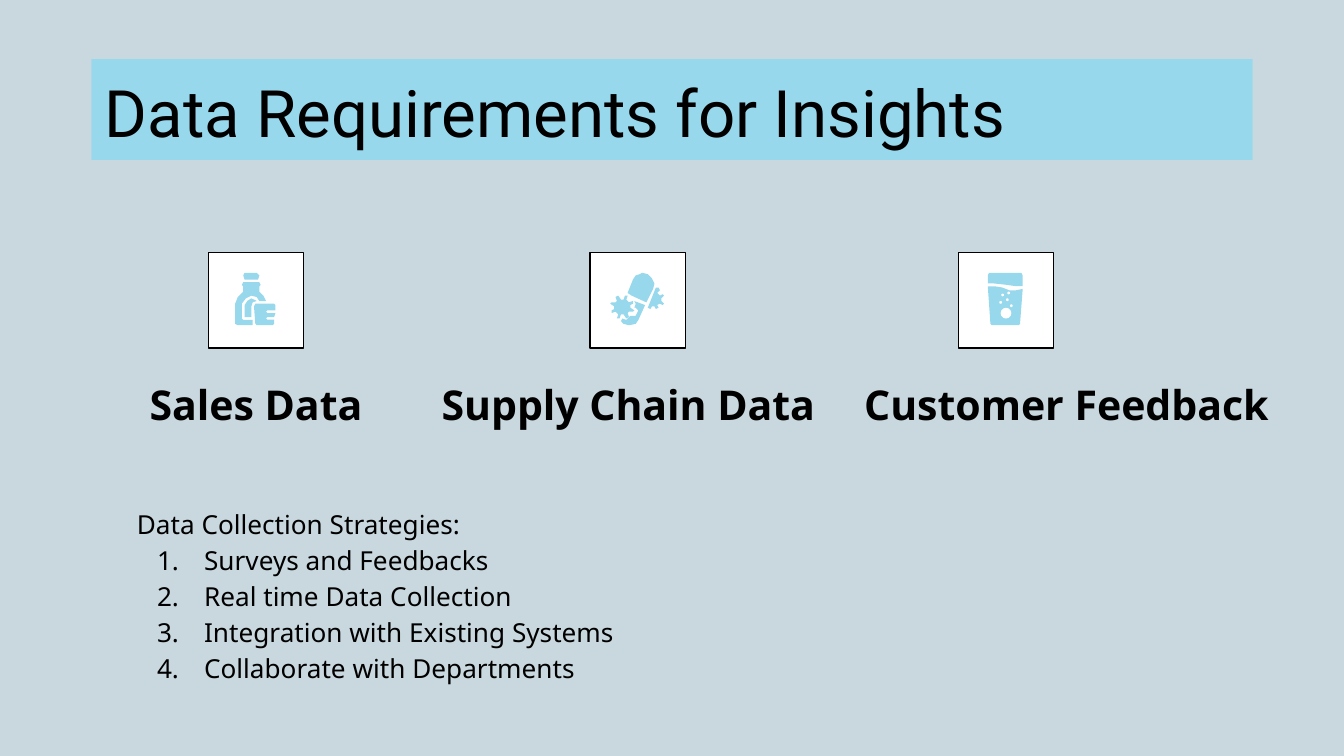
"""Build the data requirements slide."""
import math

from lxml import etree
from pptx import Presentation
from pptx import util as u
from pptx.dml.color import RGBColor
from pptx.enum import shapes, text
from pptx.oxml.ns import qn

COLOURS = {"paper": "C9D8DE", "sky": "98D8ED", "white": "FFFFFF", "black": "000000"}
TILE_TOP, TILE_SIZE = 18.8, 7.1


def colour(name):
    """Return a palette colour."""
    return RGBColor.from_string(COLOURS[name])


def write(frame, lines, font="Noto Sans", size=14, bold=False, align=text.PP_ALIGN.LEFT,
          anchor=text.MSO_ANCHOR.TOP, spacing=1.0, numbered_from=None):
    """Fill a text frame, numbering the lines from a given index on."""
    frame.word_wrap = True
    frame.auto_size = text.MSO_AUTO_SIZE.NONE
    frame.vertical_anchor = anchor
    frame.margin_left = frame.margin_right = frame.margin_top = frame.margin_bottom = u.Inches(0.1)
    for index, line in enumerate(lines):
        paragraph = frame.paragraphs[0] if index == 0 else frame.add_paragraph()
        paragraph.alignment = align
        paragraph.line_spacing = spacing
        paragraph.space_before = u.Pt(0)
        if numbered_from is not None and index >= numbered_from:
            number(paragraph)
        run = paragraph.add_run()
        run.text = line
        run.font.name, run.font.size, run.font.bold = font, u.Pt(size), bold
        run.font.color.rgb = colour("black")


def number(paragraph):
    """Give a paragraph a hanging automatic number."""
    properties = paragraph._p.get_or_add_pPr()
    properties.set("marL", str(u.Inches(0.5)))
    properties.set("indent", str(u.Inches(-0.35)))
    tint = etree.SubElement(properties, qn("a:buClr"))
    etree.SubElement(tint, qn("a:srgbClr"), val=COLOURS["black"])
    etree.SubElement(properties, qn("a:buAutoNum"), type="arabicPeriod")


def gear(x, y, outer, inner, teeth):
    """Return the outline of a toothed wheel."""
    points = []
    for tooth in range(teeth):
        for radius, offset in ((inner, -0.28), (outer, -0.12), (outer, 0.12), (inner, 0.28)):
            angle = 2 * math.pi * (tooth + offset + 0.45) / teeth
            points.append((x + radius * math.cos(angle), y + radius * math.sin(angle)))
    return points


class Board:
    """Hold the current slide and draw styled elements on a grid of 0.1 inch cells."""

    cell = u.Inches(0.1)

    def __init__(self, presentation):
        """Add a title-only slide with a plain background."""
        self.slide = presentation.slides.add_slide(presentation.slide_layouts[5])
        self.slide.background.fill.solid()
        self.slide.background.fill.fore_color.rgb = colour("paper")

    def span(self, *cells):
        """Convert grid cells to lengths."""
        return [int(value * self.cell) for value in cells]

    def paint(self, shape, fill, line=None):
        """Set fill, outline and shadow of a shape."""
        shape.shadow.inherit = False
        shape.fill.solid()
        shape.fill.fore_color.rgb = colour(fill)
        if line:
            shape.line.color.rgb = colour(line)
            shape.line.width = u.Pt(0.75)
        else:
            shape.line.fill.background()

    def title(self, words, *box):
        """Place the title on its band."""
        shape = self.slide.shapes.title
        shape.left, shape.top, shape.width, shape.height = self.span(*box)
        shape.fill.solid()
        shape.fill.fore_color.rgb = colour("sky")
        write(shape.text_frame, [words], font="Roboto", size=35)

    def label(self, lines, *box, **style):
        """Add a text box."""
        write(self.slide.shapes.add_textbox(*self.span(*box)).text_frame, lines, **style)

    def tile(self, column):
        """Add the framed square behind an icon."""
        box = self.span(column, TILE_TOP, TILE_SIZE, TILE_SIZE)
        self.paint(self.slide.shapes.add_shape(shapes.MSO_SHAPE.RECTANGLE, *box), "white", "black")

    def icon(self, column, outlines, bubbles=()):
        """Draw outlines and round bubbles, in tenths of a cell from the tile's corner."""
        group = self.slide.shapes.add_group_shape().shapes
        for first, *rest in outlines:
            builder = group.build_freeform(*first, scale=self.cell / 10)
            builder.add_line_segments(rest, close=True)
            self.paint(builder.convert_to_shape(*self.span(column, TILE_TOP)), "sky")
        for x, y, radius in bubbles:
            box = self.span(column + (x - radius) / 10, TILE_TOP + (y - radius) / 10,
                            radius / 5, radius / 5)
            self.paint(group.add_shape(shapes.MSO_SHAPE.OVAL, *box), "white")


BOTTLE = [
    [(27, 15), (36, 15), (38, 17), (37, 20), (27, 20), (26, 17)],
    [(26, 22), (38, 22), (39, 23.5), (38, 25), (38, 29), (41, 32), (43, 36), (38, 36),
     (36, 33), (32, 32), (28, 34), (25, 38), (25, 49), (26, 50), (33, 50), (33, 54),
     (22, 54), (20, 53), (20, 38), (22, 33), (26, 29), (26, 25), (25, 23.5)],
    [(27, 48), (27, 39), (29, 36), (32, 34), (36, 36), (33, 37), (32, 40), (32, 48)],
    [(35, 38), (49, 38), (50, 39), (50, 43), (44, 43), (43, 44), (44, 45), (50, 45),
     (49, 48), (44, 48), (43, 49), (44, 50), (49, 50), (49, 53), (48, 54), (36, 54),
     (35, 53), (34, 40)],
]
CAPSULE = [
    [(28, 30), (32, 20), (34, 17), (37, 15.5), (39, 15), (43, 16), (46, 19), (47.5, 23),
     (47, 27), (42, 37), (31, 32)],
    [(33, 36), (41, 39), (36, 50), (34, 53), (29, 54), (25, 53), (23, 51), (24, 49),
     (27, 50), (30, 47), (34, 47), (36, 43), (34.5, 41), (33, 41), (34, 38)],
    gear(24, 40.5, 9, 6, 8),
    [(49, 26), (43, 41), (45, 42), (46, 40), (48, 40), (49, 42), (51, 41), (50, 39),
     (52, 38), (54, 39), (55, 37.5), (53, 36), (53, 34), (55, 32), (54, 31), (52, 32),
     (50, 30), (52, 28), (51, 26)],
]
GLASS = [
    [(22, 17), (23, 15), (47, 15), (48, 17), (48, 25), (43, 25), (36, 24), (27, 23), (22, 23)],
    [(22, 25), (27, 25), (33, 26.5), (38, 28), (43, 28), (48, 27), (46, 53), (45, 54),
     (25, 54), (24, 53)],
]
BUBBLES = [(37.5, 30, 1), (33, 31.5, 1), (36.5, 35, 1), (31.5, 37, 1), (39.5, 39.5, 1),
           (35.5, 45, 4)]
TOPICS = [
    ("Sales Data", 6.8, 24.5, 15.5, BOTTLE, ()),
    ("Supply Chain Data", 31.8, 29.9, 43.9, CAPSULE, ()),
    ("Customer Feedback", 63, 32.7, 71.3, GLASS, BUBBLES),
]
STRATEGIES = ["Data Collection Strategies:", "Surveys and Feedbacks", "Real time Data Collection",
              "Integration with Existing Systems", "Collaborate with Departments"]


def main():
    """Create and save the presentation."""
    presentation = Presentation()
    presentation.slide_width = u.Inches(10)
    presentation.slide_height = presentation.slide_width * 9 // 16
    board = Board(presentation)
    board.title("Data Requirements for Insights", 6.8, 4.4, 86.4, 7.5)
    for name, left, width, column, outlines, bubbles in TOPICS:
        board.tile(column)
        board.icon(column, outlines, bubbles)
        board.label([name], left, 27.3, width, 5.6, size=22, bold=True,
                    align=text.PP_ALIGN.CENTER, anchor=text.MSO_ANCHOR.BOTTOM)
    board.label(STRATEGIES, 9.2, 36.5, 46.2, 14.6, spacing=1.15, numbered_from=1)
    presentation.save("out.pptx")


if __name__ == "__main__":
    main()
